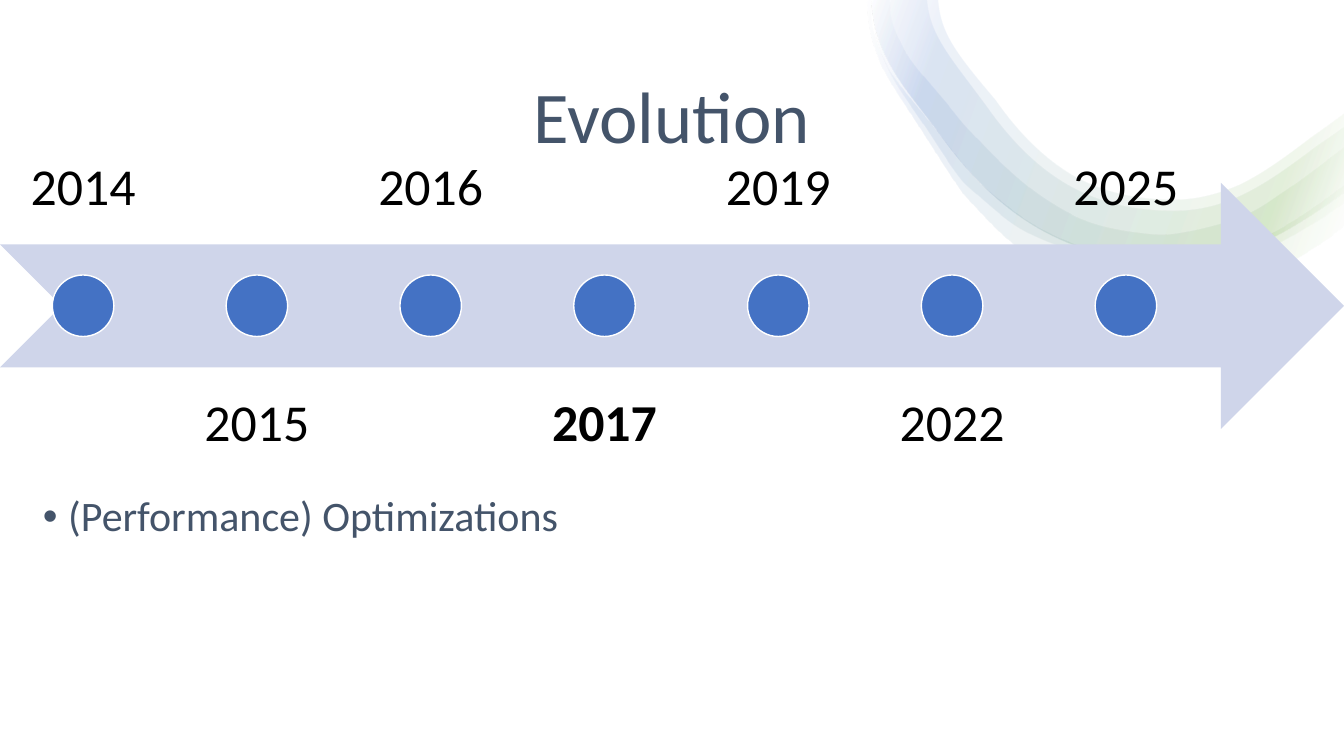
from dataclasses import dataclass

from lxml import etree
from pptx import Presentation
from pptx.dml.color import RGBColor
from pptx.enum.shapes import MSO_SHAPE
from pptx.enum.text import MSO_ANCHOR, PP_ALIGN
from pptx.oxml import parse_xml
from pptx.oxml.ns import nsdecls, qn
from pptx.util import Cm, Pt

RECTANGLE, ARROW, DOT = MSO_SHAPE.RECTANGLE, MSO_SHAPE.NOTCHED_RIGHT_ARROW, MSO_SHAPE.OVAL
TOP, BOTTOM = MSO_ANCHOR.TOP, MSO_ANCHOR.BOTTOM
LEFT, CENTER = PP_ALIGN.LEFT, PP_ALIGN.CENTER


@dataclass(frozen=True)
class Theme:
    font: str = "Calibri"
    backdrop: str = "FFFFFF"
    heading: str = "44546A"
    year: str = "000000"
    arrow: str = "CFD5EA"
    dot: str = "4472C4"
    dot_line: str = "FFFFFF"
    ribbon_stops: tuple = ((2, "FFFFFF"), (16, "70AD47"), (85, "4472C4"), (100, "FFFFFF"))
    ribbon_opacity: int = 10
    ribbon_angle: int = 200
    title_size: int = 52
    year_size: int = 37
    body_size: int = 30


theme = Theme()


def add_filled(shapes, kind, box, color):
    """Add a preset shape without outline; box holds left, top, width, height in cm."""
    shape = shapes.add_shape(kind, *map(Cm, box))
    shape.shadow.inherit = False
    shape.fill.solid()
    shape.fill.fore_color.rgb = RGBColor.from_string(color)
    shape.line.fill.background()
    return shape


def add_label(shapes, box, text, size, color, anchor, alignment):
    """Add a one-paragraph text box; box holds left, top, width, height in cm."""
    shape = shapes.add_textbox(*map(Cm, box))
    frame = shape.text_frame
    frame.word_wrap = True
    frame.vertical_anchor = anchor
    frame.text = text
    paragraph = frame.paragraphs[0]
    paragraph.alignment = alignment
    paragraph.line_spacing = 0.9
    font = paragraph.runs[0].font
    font.name, font.size = theme.font, Pt(size)
    font.color.rgb = RGBColor.from_string(color)
    return shape


presentation = Presentation()
presentation.slide_width, presentation.slide_height = Cm(33.87), Cm(19.05)
slide = presentation.slides.add_slide(presentation.slide_layouts[6])
add_filled(slide.shapes, RECTANGLE, (0, 0, 33.87, 19.05), theme.backdrop)

# Ribbon edges in cm: points that a smooth curve passes through
through_points = [
    [(21.84, 0), (21.92, 0.71), (22.12, 1.42), (22.45, 2.08), (23.24, 3.3),
     (24.05, 4.55), (24.51, 5.13), (25.63, 6.2), (27.05, 6.93), (28.63, 7.29),
     (29.72, 7.34), (31.83, 6.91), (33.22, 6.15), (33.87, 5.66)],
    [(21.95, 0), (22, 0.69), (22.23, 1.37), (22.58, 2.01), (23.5, 3.15),
     (24.41, 4.29), (24.92, 4.8), (26.04, 5.64), (27.33, 6.22), (28.7, 6.48),
     (29.79, 6.5), (31.47, 6.12), (32.72, 5.46), (33.87, 4.65)],
    [(21.97, 0), (22.1, 0.97), (22.5, 1.96), (23.27, 3.12), (24.05, 4.29),
     (24.54, 4.83), (25.73, 5.77), (27.15, 6.35), (28.63, 6.65), (29.67, 6.73),
     (31.67, 6.35), (33.02, 5.66), (33.87, 5.11)],
    [(22.43, 0), (22.48, 0.51), (22.71, 1.09), (23.06, 1.65), (23.93, 2.69),
     (24.38, 3.23), (25.3, 4.17), (26.29, 4.98), (27.43, 5.59), (28.73, 5.87),
     (29.72, 5.87), (31.27, 5.46), (32.38, 4.8), (33.87, 3.71)],
]
edges = []
for points in through_points:
    padded = [points[0], *points, points[-1]]
    edge = [points[0]]
    for before, start, end, after in zip(padded, padded[1:], padded[2:], padded[3:]):
        edge += [tuple(s + (e - b) / 6 for b, s, e in zip(before, start, end)),
                 tuple(e - (a - s) / 6 for s, e, a in zip(start, end, after)), end]
    edges.append(edge)

# Edges given by a start and three Bezier points per curve
wide_outer = [(21.97, 0), (22.07, 1.55), (22.91, 2.31), (23.72, 3.43),
              (25.12, 5.38), (26.87, 6.6), (29.57, 6.6),
              (31.17, 6.6), (32.36, 5.92), (33.87, 4.83)]
middle_inner = [(23.37, 0), (23.45, 0.95), (24, 1.5), (24.87, 2.69),
                (26.16, 4.52), (27.58, 5.31), (29.57, 5.31),
                (30.89, 5.31), (31.85, 4.67), (33.15, 3.68),
                (33.3, 3.58), (33.6, 3.38), (33.87, 3.18)]
upper_inner = [(23.65, 0), (23.72, 0.85), (24.05, 1.3), (25.1, 2.54),
               (25.7, 3.4), (26.34, 4.01), (27.03, 4.42),
               (27.76, 4.83), (28.58, 5.03), (29.57, 5.03),
               (30.12, 5.03), (30.66, 4.9), (31.22, 4.65),
               (31.8, 4.37), (32.36, 3.96), (32.99, 3.48),
               (33.13, 3.38), (33.6, 3.05), (33.87, 2.84)]
edges += [wide_outer, middle_inner, wide_outer, upper_inner]

stops = "".join(
    f'<a:gs pos="{position * 1000}"><a:srgbClr val="{color}">'
    f'<a:alpha val="{theme.ribbon_opacity * 1000}"/></a:srgbClr></a:gs>'
    for position, color in theme.ribbon_stops)
gradient_xml = (f'<a:gradFill {nsdecls("a")} rotWithShape="1"><a:gsLst>{stops}</a:gsLst>'
                f'<a:lin ang="{theme.ribbon_angle * 60000}" scaled="0"/></a:gradFill>')
ribbon = slide.shapes.add_group_shape()
for outer, inner in zip(edges[::2], edges[1::2]):
    outline = [(Cm(x), Cm(y)) for x, y in outer + inner[::-1]]
    builder = ribbon.shapes.build_freeform(*outline[0])
    builder.add_line_segments(outline[1:], close=True)
    band = builder.convert_to_shape()
    band.shadow.inherit = False
    band.line.fill.background()
    geometry = band._element.spPr.find(qn("a:custGeom"))
    geometry.addnext(parse_xml(gradient_xml))
    # Turn each three lines into one curve, keeping the line that joins the edges
    lines = list(geometry.iter(qn("a:lnTo")))
    join = len(outer) - 1
    for first in [*range(0, join, 3), *range(join + 1, len(outline) - 1, 3)]:
        curve = etree.Element(qn("a:cubicBezTo"))
        lines[first].addprevious(curve)
        for line in lines[first:first + 3]:
            curve.append(line[0])
            line.getparent().remove(line)

add_label(slide.shapes, (3.28, 1.34, 27.3, 2.8), "Evolution",
          theme.title_size, theme.heading, BOTTOM, CENTER)

# Timeline: years alternate above and below the arrow
timeline = slide.shapes.add_group_shape()
add_filled(timeline.shapes, ARROW, (0, 4.61, 33.87, 6.2), theme.arrow)

year_left, year_pitch, year_width, dot_size = 0.01, 4.38, 4.17, 1.55
for index, year in enumerate(("2014", "2015", "2016", "2017", "2019", "2022", "2025")):
    left = year_left + index * year_pitch
    top, anchor = ((-0.04, BOTTOM), (9.29, TOP))[index % 2]
    label = add_label(timeline.shapes, (left, top, year_width, 6.2), year,
                      theme.year_size, theme.year, anchor, CENTER)
    frame = label.text_frame
    frame.margin_left = frame.margin_right = Cm(0.74)
    frame.margin_top = frame.margin_bottom = Cm(0.74)
    if year == "2017":
        frame.paragraphs[0].runs[0].font.bold = True

    dot_left = left + (year_width - dot_size) / 2
    dot = add_filled(timeline.shapes, DOT, (dot_left, 6.93, dot_size, dot_size), theme.dot)
    dot.line.color.rgb = RGBColor.from_string(theme.dot_line)
    dot.line.width = Pt(1)

body = add_label(slide.shapes, (0.2, 12.36, 25.3, 5.97), "(Performance) Optimizations",
                 theme.body_size, theme.heading, TOP, LEFT)
properties = body.text_frame.paragraphs[0]._p.get_or_add_pPr()
properties.set("marL", str(Cm(1.27)))
properties.set("indent", str(-Cm(0.64)))
etree.SubElement(properties, qn("a:buFont"), typeface="Arial")
etree.SubElement(properties, qn("a:buChar"), char="•")

presentation.save("out.pptx")
